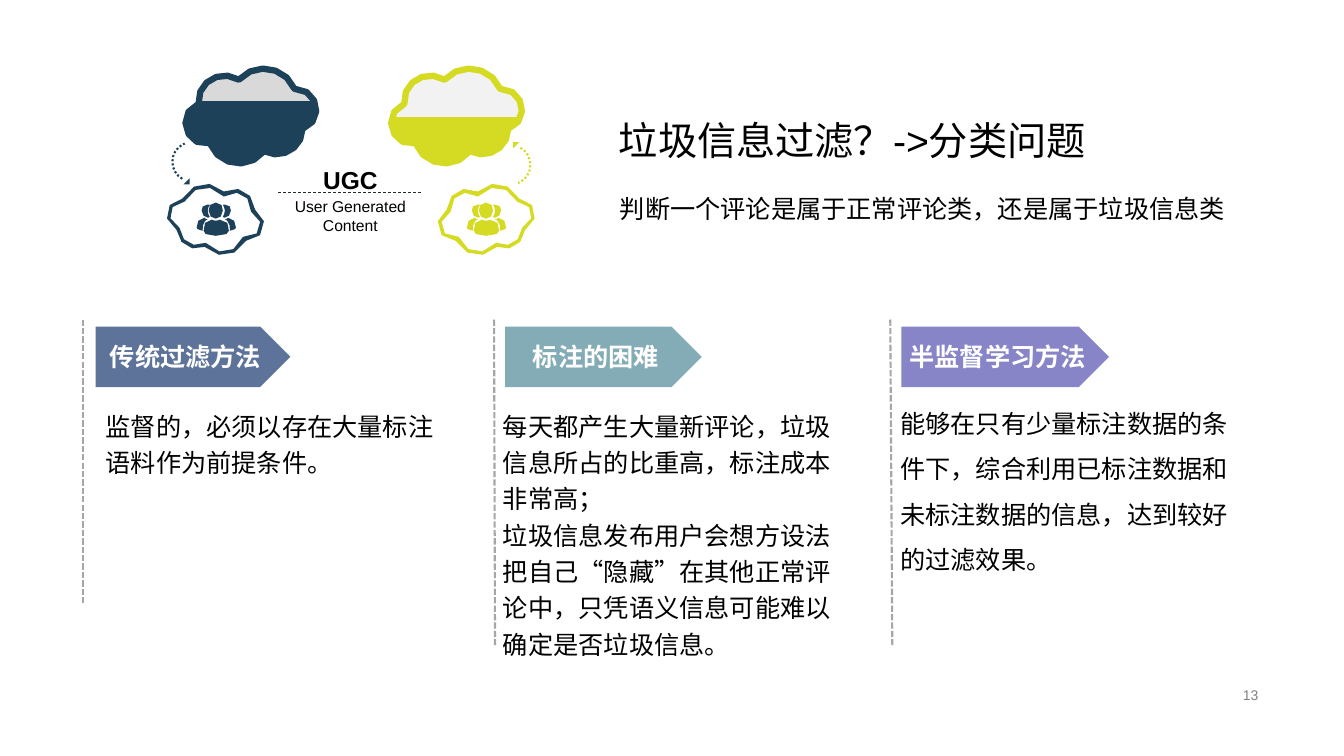
from copy import deepcopy
from dataclasses import dataclass

from lxml.etree import SubElement
from pptx import Presentation
from pptx.dml.color import RGBColor
from pptx.enum.dml import MSO_LINE
from pptx.enum.shapes import MSO_CONNECTOR, MSO_SHAPE
from pptx.enum.text import MSO_ANCHOR, MSO_AUTO_SIZE, PP_ALIGN
from pptx.oxml.ns import qn
from pptx.util import Pt

PX = 9144


@dataclass(frozen=True)
class Theme:
    latin: str = "Arial"
    asian: str = "Noto Sans CJK SC"
    black: str = "000000"
    white: str = "FFFFFF"
    gray: str = "808080"
    divider: str = "A6A6A6"
    underline: str = "232D2F"
    navy: str = "1E415A"
    navy_sky: str = "D9D9D9"
    lime: str = "D5DA23"
    lime_sky: str = "F2F2F2"
    blue: str = "5D739A"
    teal: str = "84ACB6"
    violet: str = "8784C7"
    title: float = 28
    body: float = 18
    emblem: float = 17.5
    caption: float = 11.2
    number: float = 10


theme = Theme()


def write(shape, paragraphs, size, color=theme.black, bold=False, align=PP_ALIGN.LEFT,
          spacing=None, wrap=True, anchor=MSO_ANCHOR.TOP):
    frame = shape.text_frame
    frame.word_wrap = wrap
    frame.vertical_anchor = anchor
    for index, text in enumerate(paragraphs):
        paragraph = frame.add_paragraph() if index else frame.paragraphs[0]
        paragraph.alignment = align
        if spacing:
            paragraph.line_spacing = spacing
        run = paragraph.add_run()
        run.text = text
        run.font.size = Pt(size)
        run.font.bold = bold
        run.font.color.rgb = RGBColor.from_string(color)
        run.font.name = theme.latin
        SubElement(run.font._element, qn("a:ea"), typeface=theme.asian)
    return frame


def draw_curves(contours, color, sign_x, shift_x, steps):
    builder = None
    for contour in contours:
        points = [contour[0]]
        for start in range(0, len(contour) - 1, 3):
            curve = contour[start:start + 4]
            for step in range(1, steps + 1):
                t = step / steps
                weights = ((1 - t) ** 3, 3 * t * (1 - t) ** 2, 3 * t * t * (1 - t), t ** 3)
                points.append([sum(w * point[axis] for w, point in zip(weights, curve))
                               for axis in (0, 1)])
        placed = [((sign_x * x + shift_x) * PX, y * PX) for x, y in points]
        if builder is None:
            builder = slide.shapes.build_freeform(*placed[0], scale=1.0)
        else:
            builder.move_to(*placed[0])
        builder.add_line_segments(placed[1:-1], close=True)
    shape = builder.convert_to_shape()
    shape.shadow.inherit = False
    shape.fill.solid()
    shape.fill.fore_color.rgb = RGBColor.from_string(color)
    shape.line.fill.background()
    return shape


presentation = Presentation()
presentation.slide_width = 1333 * PX
presentation.slide_height = 750 * PX
slide = presentation.slides.add_slide(presentation.slide_layouts[6])

big_cloud = [[
    (237, 79), (253, 61), (283, 66), (292, 88), (316, 88), (322, 120), (300, 128),
    (300, 147), (279, 159), (262, 150), (247, 169), (217, 165), (208, 142),
    (184, 147), (174, 112), (197, 103), (195, 81), (219, 68), (237, 79)]]
cloud_ring = [
    [(183, 200), (167, 200), (163, 220), (178, 226), (179, 240), (192, 247), (204, 241),
     (216, 255), (235, 252), (241, 235), (259, 239), (265, 216), (249, 210),
     (250, 194), (235, 186), (222, 195), (210, 181), (191, 184), (183, 200)],
    [(222, 190), (236, 182), (253, 192), (253, 208), (269, 215), (262, 241), (244, 239),
     (236, 255), (215, 258), (203, 245), (191, 251), (176, 242), (175, 228),
     (159, 221), (164, 197), (181, 197), (189, 181), (210, 177), (222, 190)]]
front_person = [
    [(210, 218), (210, 218), (212, 219), (214, 219), (217, 219), (218, 218), (218, 218),
     (226, 219), (227, 222), (227, 229), (227, 231), (225, 234), (214, 234),
     (203, 234), (202, 231), (202, 229), (202, 222), (203, 219), (210, 218)],
    [(214, 201), (220, 201), (221, 205), (221, 209), (221, 214), (218, 217), (214, 217),
     (210, 217), (207, 214), (207, 209), (207, 205), (208, 201), (214, 201)]]
side_person = [
    [(226, 216), (233, 218), (233, 219), (234, 226), (234, 227), (233, 228), (228, 229),
     (228, 225), (228, 222), (226, 220), (226, 219), (224, 218), (223, 218),
     (225, 218), (226, 216), (226, 216)],
    [(223, 203), (228, 203), (229, 206), (229, 209), (229, 213), (226, 216), (223, 216),
     (222, 216), (222, 216), (221, 215), (222, 214), (223, 211), (223, 209),
     (223, 207), (222, 205), (221, 203), (222, 203), (223, 203), (223, 203)]]
people = front_person + side_person + [[(429 - x, y) for x, y in part] for part in side_person]

for color, sky, level, cloud_shift, ring_place, people_shift, arc_place, angles, tip_place, turn in (
        (theme.navy, theme.navy_sky, 0.66, 0, (1, 0), 0,
         (171, 141), (120, 248), (182, 177), 270),
        (theme.lime, theme.lime_sky, 0.49, 204, (-1, 696), 268,
         (487, 144), (300, 68), (509, 141), 90)):
    cloud = draw_curves(big_cloud, color, 1, cloud_shift, 5)
    cloud.line.color.rgb = RGBColor.from_string(color)
    cloud.line.width = Pt(4.5)
    cloud.fill.gradient()
    cloud.fill.gradient_angle = 90
    stop_list = cloud._element.spPr.find(qn("a:gradFill")).find(qn("a:gsLst"))
    for stop in list(stop_list):
        stop_list.append(deepcopy(stop))
    stops = zip(cloud.fill.gradient_stops, (0, level, level, 1), (color, color, sky, sky))
    for stop, position, stop_color in stops:
        stop.position = position
        stop.color.rgb = RGBColor.from_string(stop_color)
    draw_curves(cloud_ring, color, *ring_place, 3)
    draw_curves(people, color, 1, people_shift, 2)

    arc_left, arc_top = arc_place
    arc = slide.shapes.add_shape(MSO_SHAPE.ARC, arc_left * PX, arc_top * PX, 39 * PX, 39 * PX)
    arc.shadow.inherit = False
    for index, angle in enumerate(angles):
        arc.adjustments[index] = angle * 0.6
    arc.fill.background()
    arc.line.color.rgb = RGBColor.from_string(color)
    arc.line.width = Pt(1.5)
    arc.line.dash_style = MSO_LINE.ROUND_DOT

    tip_left, tip_top = tip_place
    tip = slide.shapes.add_shape(
        MSO_SHAPE.RIGHT_TRIANGLE, tip_left * PX, tip_top * PX, 6 * PX, 6 * PX)
    tip.shadow.inherit = False
    tip.rotation = turn
    tip.fill.solid()
    tip.fill.fore_color.rgb = RGBColor.from_string(color)
    tip.line.fill.background()

columns = (
    ("传统过滤方法", theme.blue, (95, 193), (82, 82, 598), (95, 397, 115), 1.2,
     ["监督的，必须以存在大量标注语料作为前提条件。"]),
    ("标注的困难", theme.teal, (501, 195), (490, 491, 640), (489, 397, 251), 1.2,
     ["每天都产生大量新评论，垃圾信息所占的比重高，标注成本非常高；",
      "垃圾信息发布用户会想方设法把自己“隐藏”在其他正常评论中，只凭语义信息可能难以确定是否垃圾信息。"]),
    ("半监督学习方法", theme.violet, (894, 206), (883, 885, 640), (883, 385, 200), 1.5,
     ["能够在只有少量标注数据的条件下，综合利用已标注数据和未标注数据的信息，达到较好的过滤效果。"]),
)
rules = [(276, 191, 419, 191, theme.underline, 0.5, MSO_LINE.DASH)]
for heading, color, (left, width), (top_x, bottom_x, bottom), body_place, spacing, texts in columns:
    banner = slide.shapes.add_shape(
        MSO_SHAPE.PENTAGON, left * PX, 324 * PX, width * PX, 60 * PX)
    banner.shadow.inherit = False
    banner.fill.solid()
    banner.fill.fore_color.rgb = RGBColor.from_string(color)
    banner.line.fill.background()
    write(banner, [heading], theme.body, theme.white, True, PP_ALIGN.CENTER,
          wrap=False, anchor=MSO_ANCHOR.MIDDLE)
    body_left, body_top, body_height = body_place
    body = slide.shapes.add_textbox(body_left * PX, body_top * PX, 362 * PX, body_height * PX)
    write(body, texts, theme.body, spacing=spacing)
    rules.append((top_x, 317, bottom_x, bottom, theme.divider, 1.5, MSO_LINE.SQUARE_DOT))

for start_x, start_y, end_x, end_y, color, weight, dash in rules:
    rule = slide.shapes.add_connector(
        MSO_CONNECTOR.STRAIGHT, start_x * PX, start_y * PX, end_x * PX, end_y * PX)
    rule.line.color.rgb = RGBColor.from_string(color)
    rule.line.width = Pt(weight)
    rule.line.dash_style = dash
    SubElement(rule._element.spPr, qn("a:effectLst"))

caption = slide.shapes.add_textbox(267 * PX, 195 * PX, 161 * PX, 15 * PX)
frame = write(caption, ["User Generated Content"], theme.caption,
              align=PP_ALIGN.CENTER, wrap=False)
frame.margin_left = frame.margin_right = frame.margin_top = frame.margin_bottom = 0

emblem = slide.shapes.add_textbox(267 * PX, 160 * PX, 161 * PX, 36 * PX)
write(emblem, ["UGC"], theme.emblem, bold=True, align=PP_ALIGN.CENTER,
      wrap=False, anchor=MSO_ANCHOR.MIDDLE)

title = slide.shapes.add_textbox(604 * PX, 87 * PX, 622 * PX, 72 * PX)
frame = write(title, ["垃圾信息过滤？->分类问题"], theme.title, spacing=1.5)
frame.auto_size = MSO_AUTO_SIZE.SHAPE_TO_FIT_TEXT

subtitle = slide.shapes.add_textbox(605 * PX, 172 * PX, 626 * PX, 50 * PX)
frame = write(subtitle, ["判断一个评论是属于正常评论类，还是属于垃圾信息类"], theme.body,
              spacing=1.5, wrap=False)
frame.auto_size = MSO_AUTO_SIZE.SHAPE_TO_FIT_TEXT

number = slide.shapes.add_textbox(942 * PX, 678 * PX, 316 * PX, 23 * PX)
write(number, ["13"], theme.number, theme.gray, align=PP_ALIGN.RIGHT, anchor=MSO_ANCHOR.MIDDLE)

presentation.save("out.pptx")
